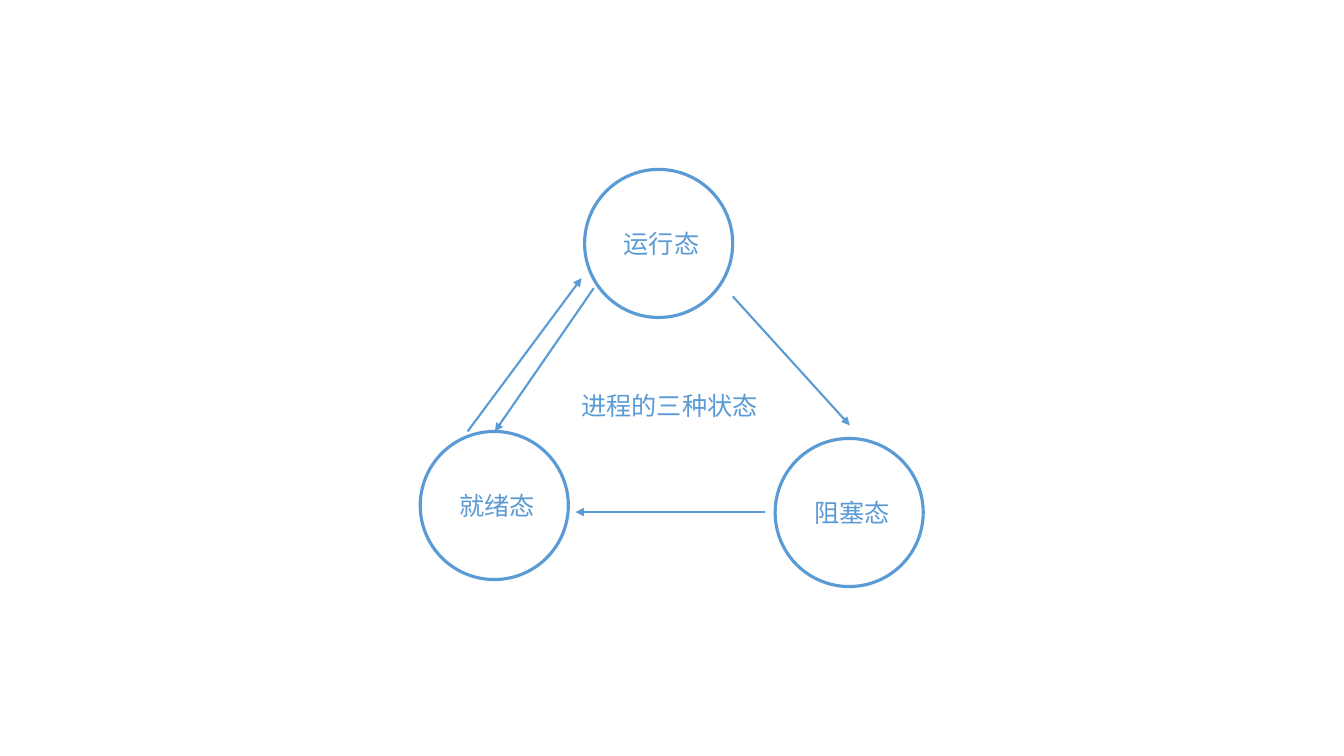
from lxml import etree
from pptx import Presentation
from pptx import util as u
from pptx.dml.color import RGBColor
from pptx.enum import shapes, text
from pptx.oxml import ns

COLOURS = {"blue": "5B9BD5", "white": "FFFFFF"}
DIAMETER = 105.8
STATES = [("运行态", 417.6, 121), ("就绪态", 300.2, 308.2), ("阻塞态", 553.7, 313.2)]
TRANSITIONS = [
    ((334, 308.2), (415.4, 198.7)),
    ((546.5, 365.8), (411.1, 365.8)),
    ((424.1, 205.9), (353.5, 308.2)),
    ((523.4, 211.7), (607, 303.8)),
]


class StateDiagram:
    """Draws process states, transitions and a caption on one slide."""

    def __init__(self, page, font="Calibri", size=18):
        self.page = page
        self.font = font
        self.size = size

    def colour(self, name):
        return RGBColor.from_string(COLOURS[name])

    def paint(self, shape):
        shape.fill.solid()
        shape.fill.fore_color.rgb = self.colour("white")

    def label(self, shape, words, alignment):
        shape.text_frame.text = words
        para = shape.text_frame.paragraphs[0]
        para.alignment = alignment
        for span in para.runs:
            span.font.name = self.font
            span.font.size = u.Pt(self.size)
            span.font.color.rgb = self.colour("blue")

    def state(self, name, left, top):
        circle = self.page.shapes.add_shape(
            shapes.MSO_SHAPE.OVAL, u.Pt(left), u.Pt(top), u.Pt(DIAMETER), u.Pt(DIAMETER))
        circle.shadow.inherit = False
        self.paint(circle)
        circle.line.color.rgb = self.colour("blue")
        circle.line.width = u.Pt(2.25)
        circle.text_frame.vertical_anchor = text.MSO_ANCHOR.MIDDLE
        self.label(circle, " " + name, text.PP_ALIGN.CENTER)

    def transition(self, start, end):
        arrow = self.page.shapes.add_connector(
            shapes.MSO_CONNECTOR.STRAIGHT, *(u.Pt(value) for value in start + end))
        arrow.line.color.rgb = self.colour("blue")
        arrow.line.width = u.Pt(1.5)
        properties = arrow.element.spPr
        outline = properties.find(ns.qn("a:ln"))
        etree.SubElement(outline, ns.qn("a:tailEnd"), type="triangle")
        etree.SubElement(properties, ns.qn("a:effectLst"))

    def caption(self, words, left, top, width, height):
        box = self.page.shapes.add_textbox(u.Pt(left), u.Pt(top), u.Pt(width), u.Pt(height))
        self.paint(box)
        box.text_frame.word_wrap = True
        box.text_frame.auto_size = text.MSO_AUTO_SIZE.SHAPE_TO_FIT_TEXT
        self.label(box, words, text.PP_ALIGN.LEFT)


def main():
    deck = Presentation()
    deck.slide_width, deck.slide_height = u.Pt(960), u.Pt(540)
    diagram = StateDiagram(deck.slides.add_slide(deck.slide_layouts[6]))
    for name, left, top in STATES:
        diagram.state(name, left, top)
    for start, end in TRANSITIONS:
        diagram.transition(start, end)
    diagram.caption("进程的三种状态", 408.2, 275, 145.4, 28.8)
    deck.save("out.pptx")


if __name__ == "__main__":
    main()
